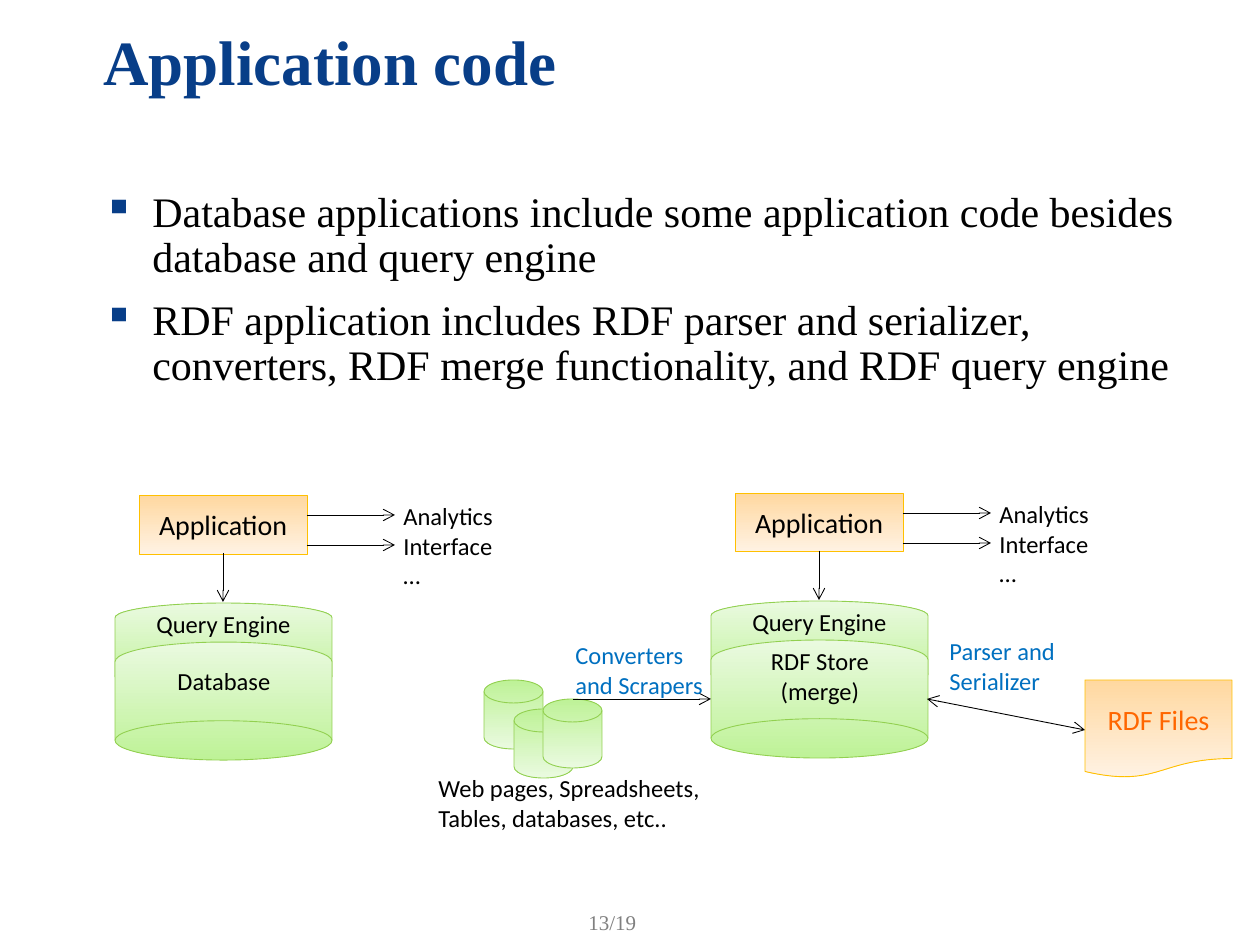
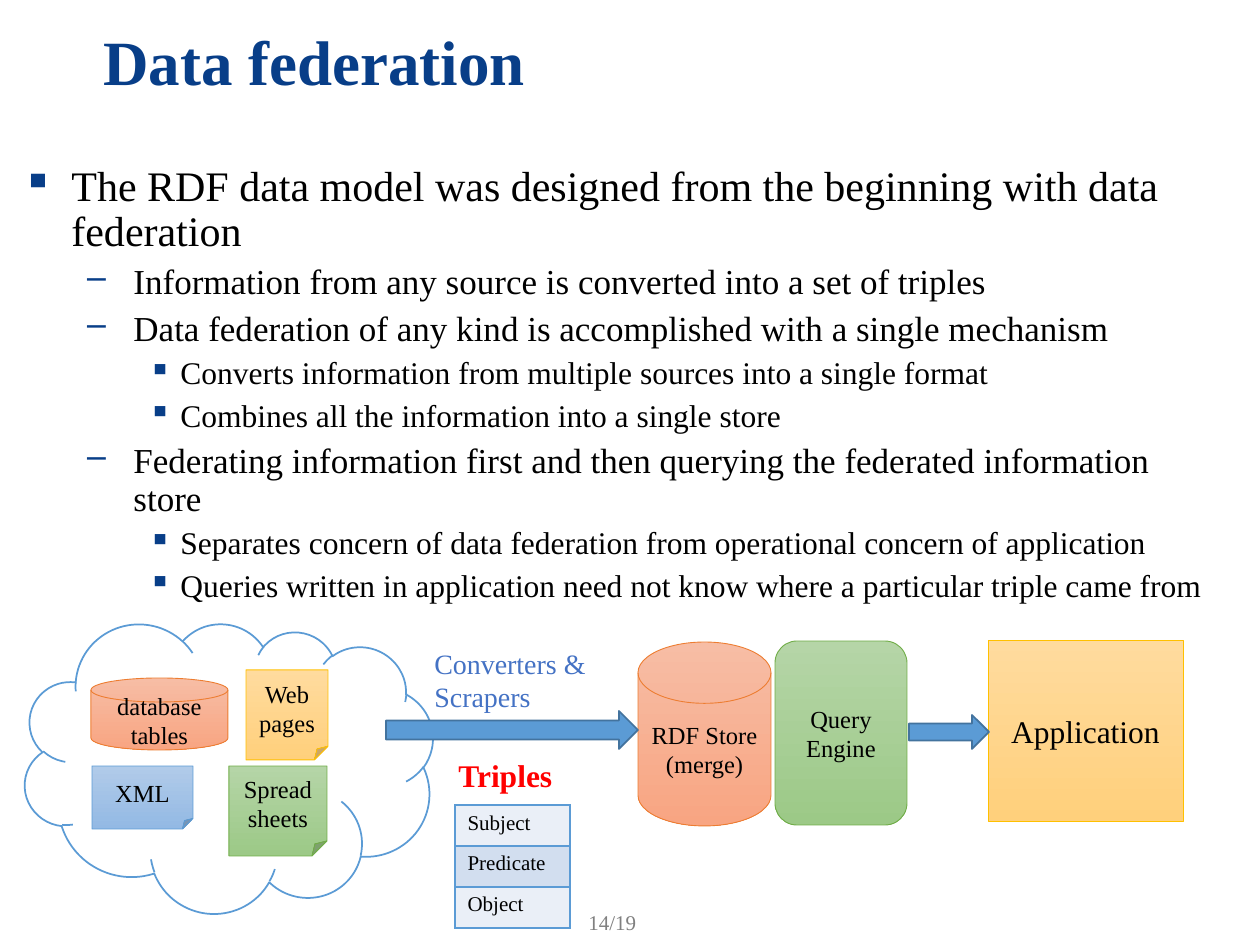
from dataclasses import dataclass
from typing import NamedTuple

from lxml.etree import SubElement
from pptx import Presentation
from pptx.dml.color import RGBColor
from pptx.enum.shapes import MSO_CONNECTOR as Connector, MSO_SHAPE as Shape
from pptx.enum.text import MSO_ANCHOR as Anchor, PP_ALIGN as Align
from pptx.oxml.ns import qn
from pptx.util import Pt

EMU_PER_PX = 914400 / 126


class Style(NamedTuple):
    name: str
    size: int
    color: str = "000000"
    bold: bool = False


class Skin(NamedTuple):
    start: str
    end: str
    line: str
    width: float = 0.5


class Level(NamedTuple):
    style: Style
    margin: int
    hanging: int
    bullet: str
    space: int


SERIF, SANS = "Times New Roman", "Calibri"


@dataclass(frozen=True)
class Theme:
    navy: str = "083E88"
    black: str = "000000"
    title: Style = Style(SERIF, 36, "083E88", True)
    footer: Style = Style(SERIF, 12, "808080")
    levels: tuple = (
        Level(Style(SERIF, 24), 49, 49, "▪", 10),
        Level(Style(SERIF, 20), 111, 48, "‒", 5),
        Level(Style(SERIF, 18), 158, 32, "▪", 5),
    )
    box: Style = Style(SANS, 16)
    file: Style = Style(SANS, 16, "FF6600")
    label: Style = Style(SANS, 14)
    link: Style = Style(SANS, 14, "0070C0")
    node: Style = Style(SERIF, 14)
    application: Style = Style(SERIF, 18)
    triples: Style = Style(SERIF, 18, "FF0000", True)
    converters: Style = Style(SERIF, 16, "4472C4")
    cell: Style = Style(SERIF, 12)
    lime: Skin = Skin("BEF297", "EAFAE0", "92D050")
    cream: Skin = Skin("FFD8A0", "FFF2E3", "FFC000")
    coral: Skin = Skin("F7BDA5", "F8A582", "ED7D31")
    blue: Skin = Skin("B1CBE9", "93B9E4", "5B9BD5")
    gold: Skin = Skin("FFDB9E", "FFD07C", "FFC000")
    green: Skin = Skin("B5D5A7", "9CC987", "70AD47")
    cloud: Skin = Skin("FFFFFF", "FFFFFF", "5B9BD5", 1)
    arrow: Skin = Skin("5B9BD5", "5B9BD5", "43739E", 1)
    bands: tuple = ("EAEFF7", "D2DEEF")
    border: str = "5B9BD5"


THEME = Theme()


def px(*lengths):
    return [round(length * EMU_PER_PX) for length in lengths]


def rgb(color):
    return RGBColor.from_string(color)


def set_values(target, values):
    for name, value in values.items():
        setattr(target, name, value)


def write(paragraph, text, style):
    run = paragraph.add_run()
    run.text = text
    set_values(run.font, {"name": style.name, "size": Pt(style.size), "bold": style.bold})
    run.font.color.rgb = rgb(style.color)


def write_lines(frame, text, style, align=Align.LEFT, spacing=None):
    for index, line in enumerate(text.split("\n")):
        paragraph = frame.add_paragraph() if index else frame.paragraphs[0]
        set_values(paragraph, {"alignment": align, "line_spacing": spacing})
        write(paragraph, line, style)


def add_text(slide, box, text, style, align=Align.LEFT, wrap=True,
             anchor=Anchor.TOP, spacing=None):
    frame = slide.shapes.add_textbox(*px(*box)).text_frame
    set_values(frame, {"word_wrap": wrap, "vertical_anchor": anchor})
    write_lines(frame, text, style, align, spacing)


def add_bullets(slide, box, items):
    frame = slide.shapes.add_textbox(*px(*box)).text_frame
    frame.word_wrap = True
    for index, (depth, text) in enumerate(items):
        level = THEME.levels[depth]
        paragraph = frame.add_paragraph() if index else frame.paragraphs[0]
        values = {"level": depth, "line_spacing": 0.9}
        if index:
            values["space_before"] = Pt(level.space)
        set_values(paragraph, values)
        properties = paragraph._p.get_or_add_pPr()
        margin, indent = px(level.margin, -level.hanging)
        properties.set("marL", str(margin))
        properties.set("indent", str(indent))
        color = SubElement(properties, qn("a:buClr"))
        SubElement(color, qn("a:srgbClr"), val=THEME.navy)
        SubElement(properties, qn("a:buChar"), char=level.bullet)
        write(paragraph, text, level.style)


def add_node(slide, kind, box, skin, text="", style=None, rotation=0):
    shape = slide.shapes.add_shape(kind, *px(*box))
    shape.shadow.inherit = False
    shape.rotation = rotation
    if skin.start == skin.end:
        shape.fill.solid()
        shape.fill.fore_color.rgb = rgb(skin.start)
    else:
        shape.fill.gradient()
        shape.fill.gradient_angle = 270
        for stop, color, position in zip(shape.fill.gradient_stops, skin[:2], (0, 1)):
            stop.color.rgb = rgb(color)
            stop.position = position
    shape.line.color.rgb = rgb(skin.line)
    shape.line.width = Pt(skin.width)
    if text:
        shape.text_frame.vertical_anchor = Anchor.MIDDLE
        write_lines(shape.text_frame, text, style, Align.CENTER)


def add_arrow(slide, start, end, ends=("tailEnd",)):
    connector = slide.shapes.add_connector(Connector.STRAIGHT, *px(*start, *end))
    connector.line.color.rgb = rgb(THEME.black)
    connector.line.width = Pt(0.5)
    properties = connector.element.spPr
    for name in ends:
        SubElement(properties.get_or_add_ln(), qn(f"a:{name}"), type="arrow")
    SubElement(properties, qn("a:effectLst"))


def add_triple_table(slide, left, top, width, row_height, labels):
    frame = slide.shapes.add_table(
        len(labels), 1, *px(left, top, width, row_height * len(labels)))
    table = frame.table
    set_values(table, {"first_row": False, "horz_banding": False})
    for index, label in enumerate(labels):
        cell = table.cell(index, 0)
        properties = cell._tc.get_or_add_tcPr()
        for side in ("lnL", "lnR", "lnT", "lnB"):
            line = SubElement(properties, qn(f"a:{side}"), w=str(Pt(1)))
            fill = SubElement(line, qn("a:solidFill"))
            SubElement(fill, qn("a:srgbClr"), val=THEME.border)
        cell.fill.solid()
        cell.fill.fore_color.rgb = rgb(THEME.bands[index % 2])
        write_lines(cell.text_frame, label, THEME.cell)


def add_titled_slide(presentation, title, page):
    slide = presentation.slides.add_slide(presentation.slide_layouts[6])
    add_text(slide, (576, 903, 100, 38), page, THEME.footer)
    add_text(slide, (91, 13, 1067, 105), title, THEME.title,
             anchor=Anchor.MIDDLE, spacing=0.9)
    return slide


def add_application_stack(slide, left, top, store, store_offset):
    for offset, height in ((108, 88), (147, 118)):
        add_node(slide, Shape.FLOWCHART_MAGNETIC_DISK,
                 (left - 24, top + offset, 217, height), THEME.lime, rotation=180)
    add_node(slide, Shape.RECTANGLE, (left, top, 168, 59), THEME.cream,
             "Application", THEME.box)
    add_arrow(slide, (left + 84, top + 58), (left + 84, top + 107))
    for offset in (20, 50):
        add_arrow(slide, (left + 168, top + offset), (left + 256, top + offset))
    add_text(slide, (left + 252, top, 147, 102), "Analytics\nInterface\n…", THEME.label)
    add_text(slide, (left - 14, top + 108, 197, 43), "Query Engine",
             THEME.label, Align.CENTER)
    add_text(slide, (left - 4, top + store_offset, 178, 72), store,
             THEME.label, Align.CENTER)


def build_application_code(presentation):
    slide = add_titled_slide(presentation, "Application code", "13/19")
    add_bullets(slide, (91, 185, 1144, 721), (
        (0, "Database applications include some application code besides "
            "database and query engine"),
        (0, "RDF application includes RDF parser and serializer, converters, "
            "RDF merge functionality, and RDF query engine"),
    ))
    add_application_stack(slide, 735, 493, "RDF Store\n(merge)", 147)
    add_application_stack(slide, 139, 495, "Database", 165)
    for left, top in ((484, 680), (514, 709), (543, 699)):
        add_node(slide, Shape.FLOWCHART_MAGNETIC_DISK, (left, top, 59, 69), THEME.lime)
    add_arrow(slide, (573, 699), (711, 699))
    add_node(slide, Shape.FLOWCHART_DOCUMENT, (1085, 680, 147, 98), THEME.cream,
             "RDF Files", THEME.file)
    add_arrow(slide, (927, 699), (1085, 730), ("headEnd", "tailEnd"))
    add_text(slide, (563, 634, 178, 72), "Converters\nand Scrapers", THEME.link)
    add_text(slide, (937, 630, 178, 72), "Parser and\nSerializer", THEME.link)
    add_text(slide, (426, 767, 295, 72),
             "Web pages, Spreadsheets,\nTables, databases, etc..", THEME.label, wrap=False)


def build_data_federation(presentation):
    slide = add_titled_slide(presentation, "Data federation", "14/19")
    add_bullets(slide, (10, 159, 1229, 721), (
        (0, "The RDF data model was designed from the beginning with data federation"),
        (1, "Information from any source is converted into a set of triples"),
        (1, "Data federation of any kind is accomplished with a single mechanism"),
        (2, "Converts information from multiple sources into a single format"),
        (2, "Combines all the information into a single store"),
        (1, "Federating information first and then querying the federated "
            "information store"),
        (2, "Separates concern of data federation from operational concern of application"),
        (2, "Queries written in application need not know where a particular "
            "triple came from"),
    ))
    add_node(slide, Shape.CLOUD, (24, 619, 408, 295), THEME.cloud, rotation=12.7)
    disk, note = Shape.FLOWCHART_MAGNETIC_DISK, Shape.FOLDED_CORNER
    for kind, box, skin, text in (
        (disk, (91, 678, 137, 72), THEME.coral, "database\ntables"),
        (note, (92, 766, 101, 63), THEME.blue, "XML"),
        (note, (246, 670, 82, 90), THEME.gold, "Web\npages"),
        (note, (229, 766, 98, 90), THEME.green, "Spreadsheets"),
        (disk, (638, 642, 133, 184), THEME.coral, "RDF Store\n(merge)"),
        (Shape.ROUNDED_RECTANGLE, (775, 641, 132, 184), THEME.green, "Query\nEngine"),
    ):
        add_node(slide, kind, box, skin, text, THEME.node)
    add_node(slide, Shape.RECTANGLE, (988, 640, 195, 181), THEME.gold,
             "Application", THEME.application)
    for box in ((386, 711, 252, 38), (909, 715, 80, 34)):
        add_node(slide, Shape.RIGHT_ARROW, box, THEME.arrow)
    add_text(slide, (446, 750, 120, 47), "Triples", THEME.triples, wrap=False)
    add_text(slide, (422, 640, 179, 73), "Converters &\nScrapers",
             THEME.converters, wrap=False)
    add_triple_table(slide, 455, 805, 115, 41, ("Subject", "Predicate", "Object"))


def main():
    presentation = Presentation()
    width, height = px(1260, 945)
    set_values(presentation, {"slide_width": width, "slide_height": height})
    build_application_code(presentation)
    build_data_federation(presentation)
    presentation.save("out.pptx")


if __name__ == "__main__":
    main()
